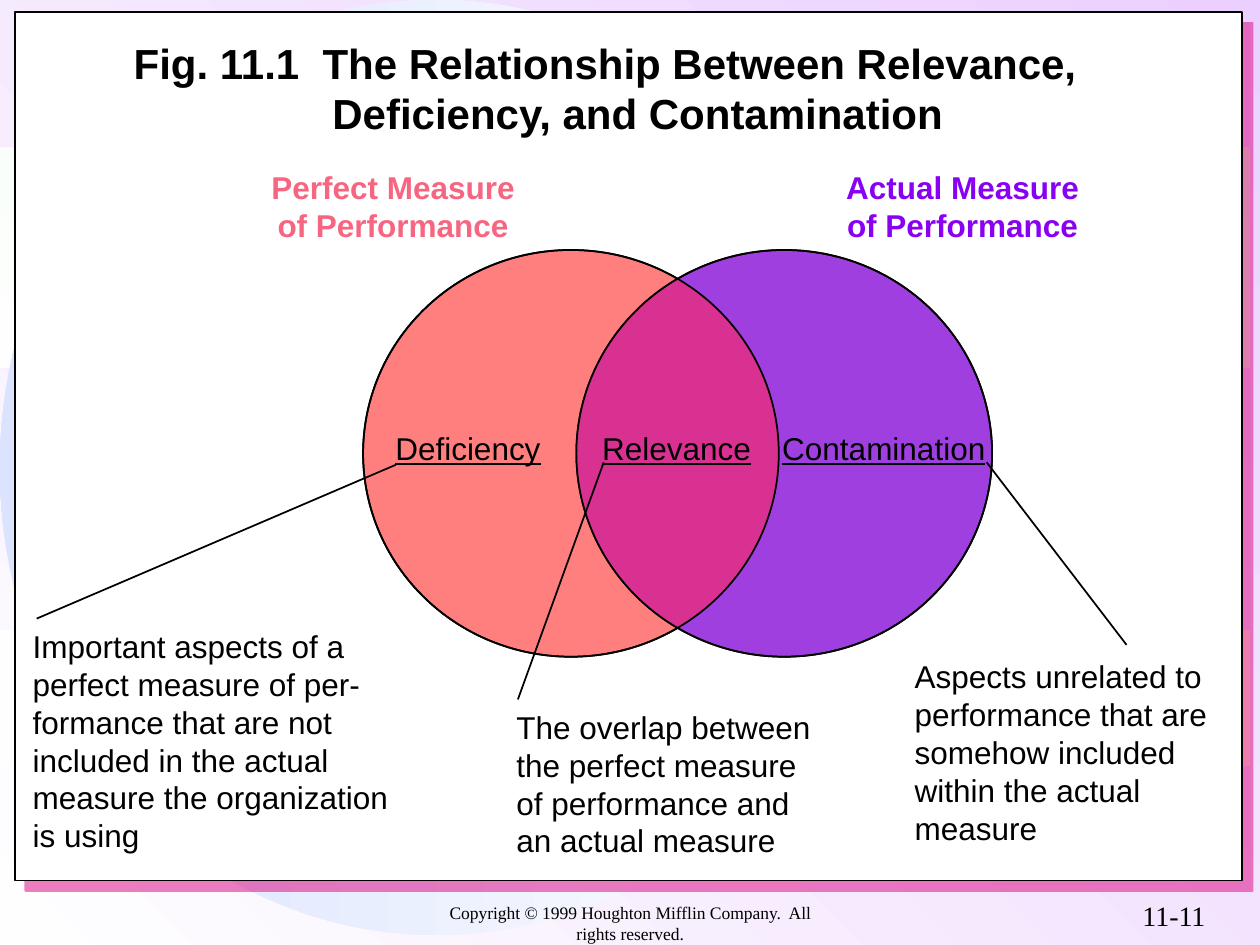
import math
from lxml import etree
from pptx import Presentation
from pptx import util as u
from pptx.dml.color import RGBColor
from pptx.enum import shapes, text
from pptx.oxml.ns import qn

LEFT, CENTER = text.PP_ALIGN.LEFT, text.PP_ALIGN.CENTER
LABEL = {"size": u.Pt(18), "name": "Arial"}
HEADING = {**LABEL, "bold": True}
FOOTER = {"size": u.Pt(10), "name": "Times New Roman"}


def color(hex_text):
    return RGBColor.from_string(hex_text)


def cm(*values):
    return [u.Cm(v) for v in values]


def set_gradient(fill, start, end, clockwise):
    fill.gradient()
    fill.gradient_angle = 360 - clockwise
    for stop, value in zip(fill.gradient_stops, (start, end)):
        stop.color.rgb = color(value)


def style_shape(sp, fill=None, line=None):
    sp.shadow.inherit = False
    if fill:
        sp.fill.solid()
        sp.fill.fore_color.rgb = color(fill)
    else:
        sp.fill.background()
    if line:
        sp.line.color.rgb = color(line)
        sp.line.width = u.Pt(1)
    else:
        sp.line.fill.background()
    return sp


def add_shape(slide, kind, box, **style):
    return style_shape(slide.shapes.add_shape(kind, *cm(*box)), **style)


def write(sp, content, fmt, hex_text="000000", align=LEFT, wrap=False):
    tf = sp.text_frame
    tf.word_wrap = wrap
    tf.text = content
    for p in tf.paragraphs:
        p.alignment = align
        p.line_spacing = u.Pt(round(fmt["size"].pt * 1.2, 1))
        for r in p.runs:
            for name, value in fmt.items():
                setattr(r.font, name, value)
            r.font.color.rgb = color(hex_text)
    return tf


def add_text(slide, box, *args, **kwargs):
    return write(slide.shapes.add_textbox(*cm(*box)), *args, **kwargs)


def add_backdrop(slide, width, height):
    set_gradient(slide.background.fill, "EBD0FF", "FEFEFE", 135)
    rect, oval = shapes.MSO_SHAPE.RECTANGLE, shapes.MSO_SHAPE.OVAL
    band = width - 0.2
    for kind, box, start, end, angle in (
        (rect, (0, 2.97, band, 4.45), "D9FFD9", "FEFEFE", 135),
        (oval, (0, 0, 17.58, height - 0.2), "FEFEFE", "DBE3FF", 180),
        (rect, (0, 12.7, band, 2.74), "FDFED6", "FEFEFE", 180),
    ):
        sp = add_shape(slide, kind, box)
        set_gradient(sp.fill, start, end, angle)


def add_footer(slide, left, top):
    tf = add_text(slide, (left, top + 0.42, 8.05, 0.41),
                  "Copyright © 1999 Houghton Mifflin Company.  All rights reserved.",
                  FOOTER, align=CENTER)
    tf.vertical_anchor = text.MSO_ANCHOR.MIDDLE
    add_text(slide, (left + 14.1, top, 3.61, 0.91), "11-11",
             {**FOOTER, "size": u.Pt(16)})


def add_panel(slide, left, top, width, height):
    # White card with a hard pink shadow
    sp = add_shape(slide, shapes.MSO_SHAPE.RECTANGLE, (left, top, width, height),
                   fill="FFFFFF", line="000000")
    effects = sp._element.spPr.find(qn("a:effectLst"))
    shadow = etree.SubElement(effects, qn("a:outerShdw"), blurRad="0",
                              dist=str(u.Pt(8.5)), dir="2700000",
                              algn="ctr", rotWithShape="0")
    tint = etree.SubElement(shadow, qn("a:srgbClr"), val="DC0081")
    etree.SubElement(tint, qn("a:alpha"), val="50000")

    # Title, brought in front of the card
    title = slide.shapes.title
    slide.shapes._spTree.append(title._element)
    title.left, title.top, title.width, title.height = cm(
        left + 1.76, top + 1.07, 21.59, 0.89)
    tf = write(title,
               "Fig. 11.1  The Relationship Between Relevance, \tDeficiency, and Contamination",
               {**HEADING, "size": u.Pt(24)}, align=CENTER, wrap=True)
    tf.vertical_anchor = text.MSO_ANCHOR.MIDDLE
    tf.auto_size = text.MSO_AUTO_SIZE.NONE


def add_venn(slide, left, top, width, height):
    shift = 4.3
    diameter = width - shift
    rx, ry = diameter / 2, height / 2
    oval = shapes.MSO_SHAPE.OVAL
    boxes = [(left + i * shift, top, diameter, height) for i in range(2)]

    # Circles
    for box, fill in zip(boxes, ("FF7F7F", "9F3FDF")):
        add_shape(slide, oval, box, fill=fill, line="000000")

    # Overlap: right arc of the left circle, then left arc of the right one
    half = math.acos(shift / 2 / rx)
    steps = 40
    points = []
    for (x, y, _, _), start in zip(boxes, (-half, math.pi - half)):
        for i in range(steps + 1):
            angle = start + 2 * half * i / steps
            points.append(cm(x + rx + rx * math.cos(angle),
                             y + ry + ry * math.sin(angle)))
    builder = slide.shapes.build_freeform(*points[0])
    builder.add_line_segments(points[1:])
    style_shape(builder.convert_to_shape(), fill="D93192")

    # Outlines over the overlap
    for box in boxes:
        add_shape(slide, oval, box, line="000000")

    # Headings
    for dx, w, word, hex_text in ((-2.1, 5.41, "Perfect", "F76681"),
                                  (9.48, 5.21, "Actual", "8901F3")):
        add_text(slide, (left + dx, top - 1.78, w, 1.78),
                 f"{word} Measure\nof Performance", HEADING, hex_text, CENTER)


def add_callout(slide, term, term_box, leader, note, note_box):
    add_text(slide, term_box, term, {**LABEL, "underline": True})
    line = slide.shapes.add_connector(shapes.MSO_CONNECTOR.STRAIGHT, *cm(*leader))
    line.line.color.rgb = color("000000")
    line.line.width = u.Pt(1)
    etree.SubElement(line._element.spPr, qn("a:effectLst"))
    add_text(slide, note_box, note, LABEL)


def main():
    prs = Presentation()
    prs.slide_width, prs.slide_height = cm(25.4, 19.05)
    slide = prs.slides.add_slide(prs.slide_layouts[5])

    add_backdrop(slide, 25.4, 19.05)
    add_footer(slide, 8.68, 17.99)
    add_panel(slide, 0.3, 0.25, 24.74, 17.5)
    add_venn(slide, 7.32, 5.04, 12.68, 8.2)

    # Terms, leader lines and explanations
    term_top, term_height = 8.53, 1.02
    for term, x, w, leader, note, note_box in (
        ("Relevance", 11.89, 3.51, (12.17, 9.32, 10.44, 14.1),
         "The overlap between\nthe perfect measure\nof performance and\nan actual measure",
         (10.16, 14.15, 6.6, 3.3)),
        ("Deficiency", 7.72, 3.43, (7.98, 9.37, 0.74, 12.47),
         "Important aspects of a\nperfect measure of per-\n"
         "formance that are not \vincluded in the actual\n"
         "measure the organization\nis using",
         (0.41, 12.52, 7.67, 4.83)),
        ("Contamination", 15.52, 4.6, (19.89, 9.32, 22.71, 13),
         "Aspects unrelated to\nperformance that are\nsomehow included\n"
         "within the actual\nmeasure",
         (18.19, 13.13, 6.4, 4.06)),
    ):
        add_callout(slide, term, (x, term_top, w, term_height), leader, note, note_box)

    prs.save("out.pptx")


if __name__ == "__main__":
    main()
